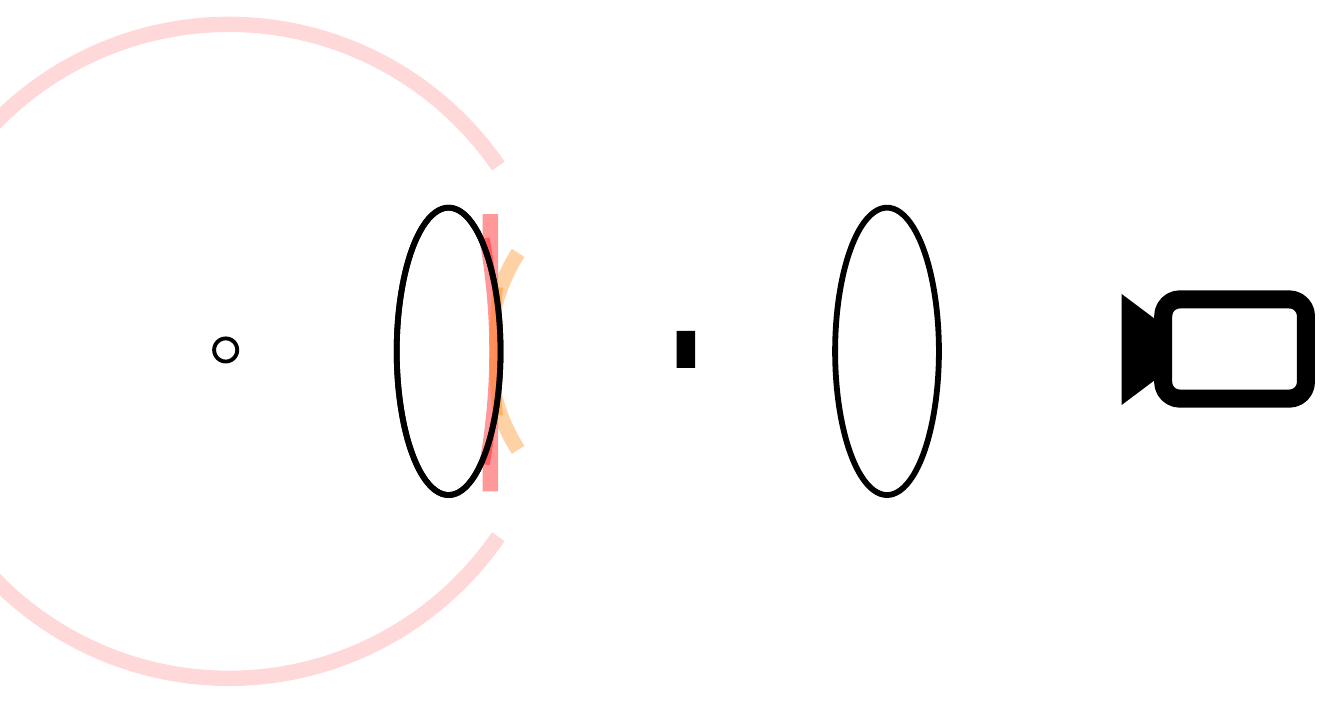
"""Draw an eye, two lenses, an aperture and a camera along one optical axis."""
from dataclasses import dataclass

from lxml.etree import SubElement
from pptx import Presentation
from pptx.dml.color import RGBColor
from pptx.dml.fill import FillFormat
from pptx.enum.shapes import MSO_CONNECTOR, MSO_SHAPE
from pptx.oxml.ns import qn
from pptx.shapes.base import BaseShape
from pptx.shapes.shapetree import SlideShapes
from pptx.util import Inches, Pt

BLACK, WHITE, RED, ORANGE = "000000", "FFFFFF", "FF0000", "FF7F00"


@dataclass(frozen=True)
class Part:
    kind: MSO_SHAPE
    left: float
    top: float
    width: float
    height: float
    fill: str | None = None
    opacity: int = 100
    line_width: float = 0
    rotation: int = 0
    adjustments: tuple[float, ...] = ()


@dataclass(frozen=True)
class Outline:
    points: tuple[tuple[float, float], ...]
    fill: str


@dataclass(frozen=True)
class Stroke:
    start: tuple[float, float]
    end: tuple[float, float]
    color: str
    width: float
    opacity: int


def paint(fill: FillFormat, color: str, opacity: int = 100) -> None:
    fill.solid()
    fill.fore_color.rgb = RGBColor.from_string(color)
    if opacity < 100:
        tint = fill._xPr.find(qn("a:solidFill"))[0]
        SubElement(tint, qn("a:alpha")).set("val", str(opacity * 1000))


def finish(shape: BaseShape, fill: str | None, opacity: int = 100, line_width: float = 0) -> None:
    shape.shadow.inherit = False
    if fill:
        paint(shape.fill, fill, opacity)
    else:
        shape.fill.background()
    if line_width:
        paint(shape.line.fill, BLACK)
        shape.line.width = Pt(line_width)
    else:
        shape.line.fill.background()


def draw_part(shapes: SlideShapes, part: Part) -> None:
    box = (Inches(length) for length in (part.left, part.top, part.width, part.height))
    shape = shapes.add_shape(part.kind, *box)
    shape.rotation = part.rotation
    for index, value in enumerate(part.adjustments):
        shape.adjustments[index] = value
    finish(shape, part.fill, part.opacity, part.line_width)


def draw_outline(shapes: SlideShapes, outline: Outline) -> None:
    start, *rest = [(Inches(x), Inches(y)) for x, y in outline.points]
    builder = shapes.build_freeform(*start)
    builder.add_line_segments(rest, close=True)
    finish(builder.convert_to_shape(), outline.fill)


def draw_stroke(shapes: SlideShapes, stroke: Stroke) -> None:
    ends = (Inches(length) for length in stroke.start + stroke.end)
    line = shapes.add_connector(MSO_CONNECTOR.STRAIGHT, *ends)
    paint(line.line.fill, stroke.color, stroke.opacity)
    line.line.width = Pt(stroke.width)
    SubElement(line._element.spPr, qn("a:effectLst"))


def lens(left: float, fill: str | None = WHITE) -> Part:
    return Part(MSO_SHAPE.OVAL, left, 2.24, 1.12, 3.1, fill, line_width=4.5)


def surface(left: float, top: float, size: float, color: str, opacity: int,
            rotation: int, half_angle: float, thickness: float) -> Part:
    """Return a curved surface centred on the optical axis."""
    angles = tuple((270 + side * half_angle) * 0.6 for side in (-1, 1))
    return Part(MSO_SHAPE.BLOCK_ARC, left, top, size, size, color, opacity,
                rotation=rotation, adjustments=(*angles, thickness))


EYEBALL = Part(MSO_SHAPE.DONUT, -1.14, 0.18, 7.22, 7.22, RED, 15, adjustments=(0.023,))
EYE_OPENING = Outline(((11.64, -2.61), (11.64, 10.19), (4.74, 5.34), (4.74, 2.24)), WHITE)
PUPIL_PLANE = Stroke((5.29, 2.31), (5.29, 5.3), RED, 12, 40)
CORNEA = surface(5.2, 1.74, 4.1, ORANGE, 35, 270, 32.62, 0.039)
RED_SURFACE = surface(-8.61, -3.21, 14, RED, 40, 90, 10.11, 0.008)
ORANGE_SURFACE = surface(5.28, -3.21, 14, ORANGE, 40, 270, 5.72, 0.008)
APERTURE = Part(MSO_SHAPE.RECTANGLE, 7.3, 3.57, 0.2, 0.4, BLACK)
EYE_CENTER = Part(MSO_SHAPE.OVAL, 2.31, 3.65, 0.25, 0.25, line_width=3)
CAMERA_HOOD = Outline(((12.1, 4.37), (12.1, 3.17), (12.5, 3.47), (12.5, 4.07)), BLACK)
CAMERA_BODY = Part(MSO_SHAPE.ROUNDED_RECTANGLE, 12.55, 3.23, 1.54, 1.07, WHITE,
                   line_width=14, adjustments=(0.167,))

SCENE = (
    EYEBALL, EYE_OPENING, PUPIL_PLANE, CORNEA, lens(4.28), RED_SURFACE, ORANGE_SURFACE,
    lens(4.28, None), lens(9.01), APERTURE, EYE_CENTER, CAMERA_HOOD, CAMERA_BODY,
)


def main() -> None:
    deck = Presentation()
    deck.slide_width = Inches(14.5)
    deck.slide_height = Inches(730 / 96)
    shapes = deck.slides.add_slide(deck.slide_layouts[6]).shapes
    draw = {Part: draw_part, Outline: draw_outline, Stroke: draw_stroke}
    for item in SCENE:
        draw[type(item)](shapes, item)
    deck.save("out.pptx")


if __name__ == "__main__":
    main()
